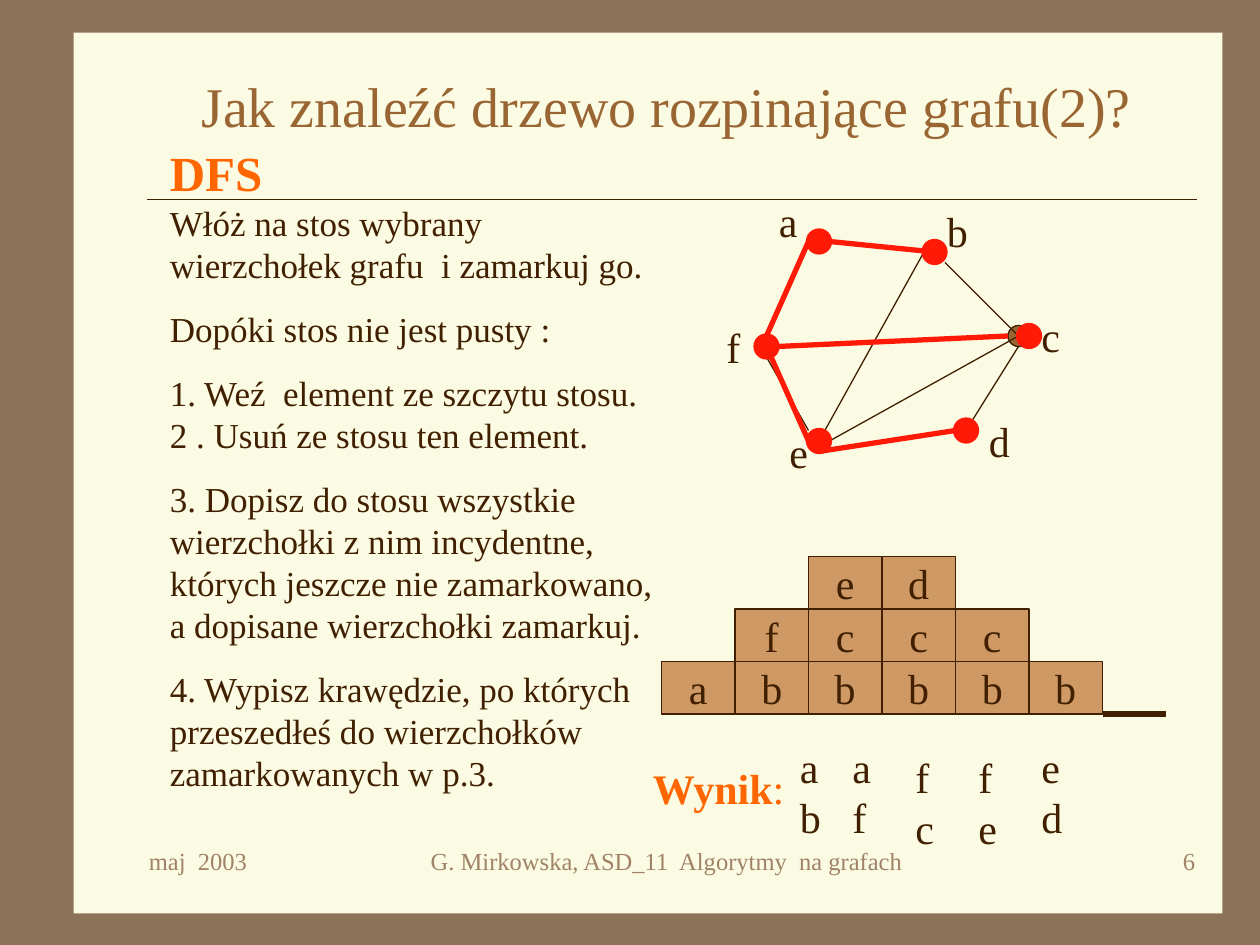
"""Build a slide on depth-first search for a spanning tree."""
import dataclasses
import pptx
import pptx.dml.color
import pptx.enum.shapes
import pptx.enum.text
import pptx.oxml.ns
import pptx.util

Pt = pptx.util.Pt
Shape = pptx.enum.shapes.MSO_SHAPE
Align = pptx.enum.text.PP_ALIGN
Anchor = pptx.enum.text.MSO_ANCHOR


@dataclasses.dataclass(frozen=True)
class Theme:
    font: str = "Times New Roman"
    back: str = "8C735A"
    page: str = "FBFAE2"
    ink: str = "402000"
    brown: str = "996633"
    tan: str = "CE9964"
    red: str = "FF1907"
    orange: str = "FF6600"
    faded: str = "A08366"
    title: float = 32
    head: float = 28
    label: float = 24
    body: float = 20
    foot: float = 14
    thin: float = 0.75
    thick: float = 3


theme = Theme()


def tint(code):
    return pptx.dml.color.RGBColor.from_string(code)


def write(par, text, size=theme.label, color=theme.ink, bold=False, align=Align.LEFT):
    par.alignment = align
    for num, line in enumerate(text.split("\n")):
        if num:
            par.add_line_break()
        if line:
            run = par.add_run()
            run.text = line
            run.font.name = theme.font
            run.font.size = Pt(size)
            run.font.bold = bold
            run.font.color.rgb = tint(color)


class Board:
    def __init__(self, slide, theme):
        self.slide = slide
        self.theme = theme
        slide.background.fill.solid()
        slide.background.fill.fore_color.rgb = tint(theme.back)

    def shape(self, kind, x, y, w, h, fill, line=None, weight=theme.thin):
        item = self.slide.shapes.add_shape(kind, Pt(x), Pt(y), Pt(w), Pt(h))
        item.shadow.inherit = False
        item.fill.solid()
        item.fill.fore_color.rgb = tint(fill)
        if line:
            item.line.color.rgb = tint(line)
            item.line.width = Pt(weight)
        else:
            item.line.fill.background()
        return item

    def dot(self, x, y, fill, line, weight):
        self.shape(Shape.OVAL, x, y, 12, 12, fill, line, weight)

    def cell(self, x, y, w, h, text):
        item = self.shape(Shape.RECTANGLE, x, y, w, h, self.theme.tan, self.theme.ink)
        item.text_frame.word_wrap = False
        item.text_frame.vertical_anchor = Anchor.MIDDLE
        write(item.text_frame.paragraphs[0], text, align=Align.CENTER)

    def line(self, ends, color=theme.ink, weight=theme.thin):
        kind = pptx.enum.shapes.MSO_CONNECTOR.STRAIGHT
        item = self.slide.shapes.add_connector(kind, *map(Pt, ends))
        item.line.color.rgb = tint(color)
        item.line.width = Pt(weight)
        effect = pptx.oxml.ns.qn("a:effectLst")
        item.element.spPr.append(item.element.spPr.makeelement(effect))

    def text(self, x, y, w, h, text="", anchor=Anchor.TOP, **style):
        box = self.slide.shapes.add_textbox(Pt(x), Pt(y), Pt(w), Pt(h))
        box.text_frame.word_wrap = True
        box.text_frame.vertical_anchor = anchor
        write(box.text_frame.paragraphs[0], text, **style)
        return box.text_frame


def draw_frame(board):
    board.shape(Shape.RECTANGLE, 42, 18.7, 656.6, 503.3, theme.page)
    board.line((84, 114, 684, 114))
    board.text(78, 36, 606, 48, "Jak znaleźć drzewo rozpinające grafu(2)?",
               anchor=Anchor.MIDDLE, size=theme.title, color=theme.brown, align=Align.CENTER)
    for x, w, text, align in (
        (78, 150, "maj  2003", Align.LEFT),
        (222, 318, "G. Mirkowska, ASD_11  Algorytmy  na grafach", Align.CENTER),
        (540, 150, "6", Align.RIGHT),
    ):
        board.text(x, 480, w, 36, text, size=theme.foot, color=theme.faded, align=align)


def draw_steps(board):
    frame = board.text(90, 78, 294, 379.5, "DFS\n",
                       size=theme.head, color=theme.orange, bold=True)
    write(frame.paragraphs[0], "Włóż na stos wybrany wierzchołek grafu  i zamarkuj go.",
          size=theme.body)
    for step in (
        "Dopóki stos nie jest pusty :",
        "1. Weź  element ze szczytu stosu.\n2 . Usuń ze stosu ten element.",
        "3. Dopisz do stosu wszystkie  wierzchołki z nim incydentne, "
        "których jeszcze nie zamarkowano, a dopisane wierzchołki zamarkuj.",
        "4. Wypisz krawędzie, po których przeszedłeś do wierzchołków "
        "zamarkowanych w p.3.",
    ):
        par = frame.add_paragraph()
        par.space_before = Pt(12.5)
        write(par, step, size=theme.body)


def draw_graph(board):
    board.dot(576, 186, theme.brown, theme.ink, theme.thin)
    for ends in (
        (438, 192, 462, 138), (474, 138, 528, 144), (444, 198, 576, 192),
        (528, 144, 468, 252), (474, 252, 582, 192), (552, 246, 582, 198),
        (468, 258, 546, 246), (438, 204, 462, 246), (540, 150, 582, 192),
    ):
        board.line(ends)
    for name, x, y, left, top in (
        ("a", 462, 132, 438, 108), ("b", 528, 138, 534, 114),
        ("c", 582, 186, 588, 174), ("d", 546, 240, 558, 234),
        ("e", 462, 246, 444, 240), ("f", 432, 192, 408, 180),
    ):
        board.dot(x, y, theme.red, theme.red, theme.thick)
        board.text(left, top, 30, 36, name)
    for ends in (
        (474, 138, 534, 144), (462, 138, 438, 192), (444, 198, 576, 192),
        (438, 198, 462, 252), (468, 258, 546, 246),
    ):
        board.line(ends, theme.red, theme.thick)


def draw_stacks(board):
    wide, high, left, base = 42, 30, 378, 408
    stacks = ("a", "bf", "bce", "bcd", "bc", "b")
    for col, stack in enumerate(stacks):
        for row, name in enumerate(stack, 1):
            board.cell(left + col * wide, base - row * high, wide, high, name)
    end = left + len(stacks) * wide
    board.line((end, base, end + 36, base), theme.ink, theme.thick)


def draw_result(board):
    frame = board.text(366, 432, 114, 36, "Wynik", color=theme.orange, bold=True)
    write(frame.paragraphs[0], ":", color=theme.orange)
    for x, y, w, edge in (
        (450, 420, 30, "ab"), (480, 420, 42, "a\nf"), (516, 426, 30, "f\nc"),
        (552, 426, 30, "fe"), (588, 420, 42, "e\nd"),
    ):
        board.text(x, y, w, 65, edge)


def main():
    deck = pptx.Presentation()
    deck.slide_width, deck.slide_height = Pt(720), Pt(540)
    board = Board(deck.slides.add_slide(deck.slide_layouts[6]), theme)
    for draw in (draw_frame, draw_steps, draw_graph, draw_stacks, draw_result):
        draw(board)
    deck.save("out.pptx")


if __name__ == "__main__":
    main()
